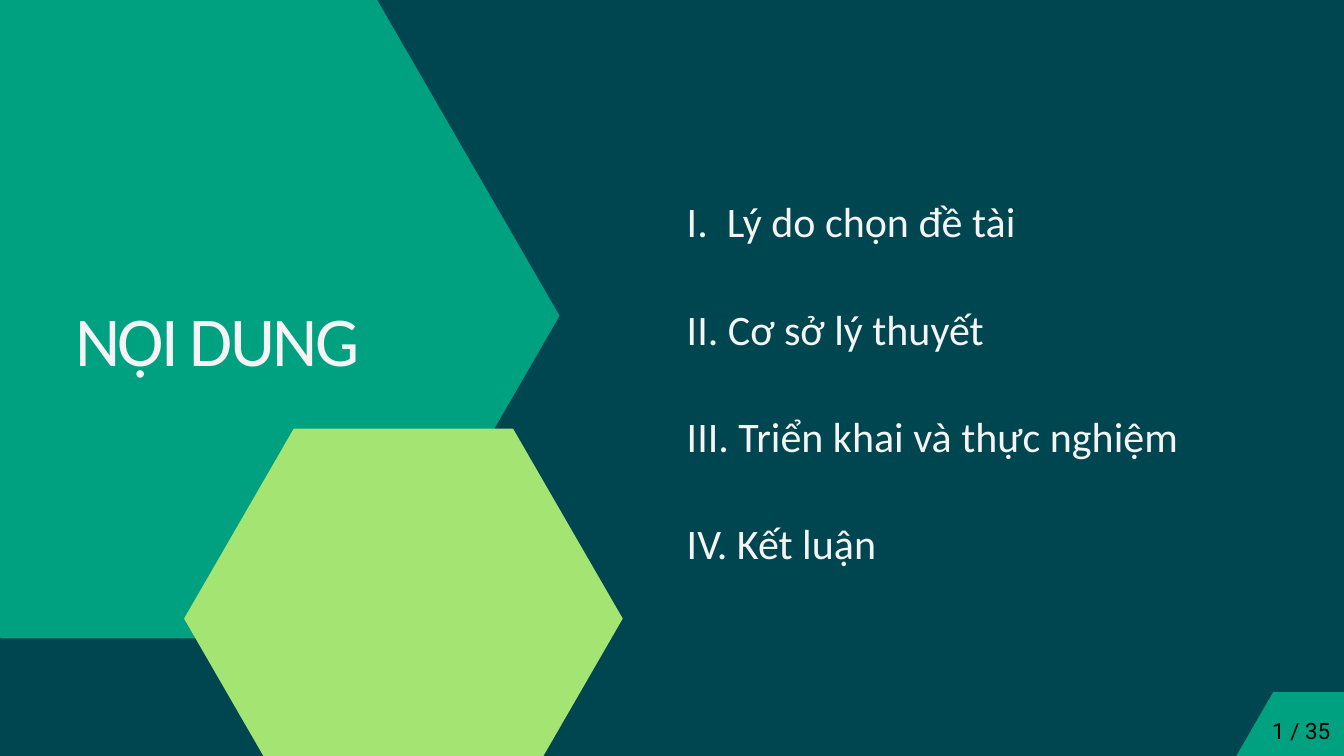
from dataclasses import dataclass

from pptx import Presentation
from pptx.dml.color import RGBColor
from pptx.enum.shapes import MSO_SHAPE
from pptx.enum.text import MSO_ANCHOR, PP_ALIGN
from pptx.oxml import parse_xml
from pptx.oxml.ns import nsdecls
from pptx.slide import Slide
from pptx.util import Pt

HEXAGON = MSO_SHAPE.HEXAGON
TOP = MSO_ANCHOR.TOP
LEFT, CENTER = PP_ALIGN.LEFT, PP_ALIGN.CENTER

COLORS = {
    "background": "004651",
    "teal": "00A181",
    "lime": "A4E473",
    "light": "F4F4F4",
    "black": "000000",
}
HEXAGON_INSET = 0.2887  # corner inset of a regular hexagon, as a share of its height
NUMERAL_TAB = 43

SECTIONS = [
    "I.\tLý do chọn đề tài",
    "II. Cơ sở lý thuyết",
    "III. Triển khai và thực nghiệm",
    "IV. Kết luận",
]
SECTION_TOP, SECTION_PITCH = 200.9, 114.8


@dataclass
class Hexagon:
    left: float
    top: float
    width: float
    height: float
    color: str


@dataclass
class Label:
    text: str
    left: float
    top: float
    width: float
    height: float
    size: float
    line_height: float
    font: str = "Calibri"
    color: str = "light"
    align: PP_ALIGN = LEFT
    tracking: float = 0


def rgb(name: str) -> RGBColor:
    return RGBColor.from_string(COLORS[name])


def draw_hexagon(page: Slide, item: Hexagon) -> None:
    shape = page.shapes.add_shape(
        HEXAGON, Pt(item.left), Pt(item.top), Pt(item.width), Pt(item.height)
    )
    shape.adjustments[0] = HEXAGON_INSET
    shape.shadow.inherit = False
    shape.fill.solid()
    shape.fill.fore_color.rgb = rgb(item.color)
    shape.line.fill.background()


def draw_label(page: Slide, item: Label) -> None:
    box = page.shapes.add_textbox(
        Pt(item.left), Pt(item.top), Pt(item.width), Pt(item.height)
    )
    frame = box.text_frame
    frame.word_wrap = True
    frame.vertical_anchor = TOP
    frame.margin_left = frame.margin_top = frame.margin_right = frame.margin_bottom = 0
    frame.text = item.text
    para = frame.paragraphs[0]
    para.alignment = item.align
    para.line_spacing = Pt(item.line_height)
    if "\t" in item.text:
        para._p.get_or_add_pPr().append(parse_xml(
            f'<a:tabLst {nsdecls("a")}><a:tab pos="{Pt(NUMERAL_TAB)}" algn="l"/></a:tabLst>'
        ))
    for span in para.runs:
        span.font.name = item.font
        span.font.size = Pt(item.size)
        span.font.color.rgb = rgb(item.color)
        if item.tracking:
            span.font._element.set("spc", str(round(item.tracking * 100)))


def main() -> None:
    deck = Presentation()
    deck.slide_width, deck.slide_height = Pt(1440), Pt(810)
    page = deck.slides.add_slide(deck.slide_layouts[6])
    page.background.fill.solid()
    page.background.fill.fore_color.rgb = rgb("background")

    draw_hexagon(page, Hexagon(-198.7, -7.2, 798.2, 691.2, "teal"))
    draw_hexagon(page, Hexagon(197.2, 459.3, 470, 407, "lime"))
    draw_label(page, Label("NỘI DUNG", 80.6, 317.5, 594, 90.7, 75, 90, tracking=-2.8))
    for row, section in enumerate(SECTIONS):
        top = SECTION_TOP + row * SECTION_PITCH
        draw_label(page, Label(section, 735.8, top, 623.5, 59, 45, 63))

    draw_hexagon(page, Hexagon(1307.5, 741.6, 226.5, 196.2, "teal"))
    draw_label(page, Label("1 / 35", 1337, 763.9, 114.5, 32.4, 24, 33.6,
                           font="Roboto", color="black", align=CENTER))
    deck.save("out.pptx")


if __name__ == "__main__":
    main()
